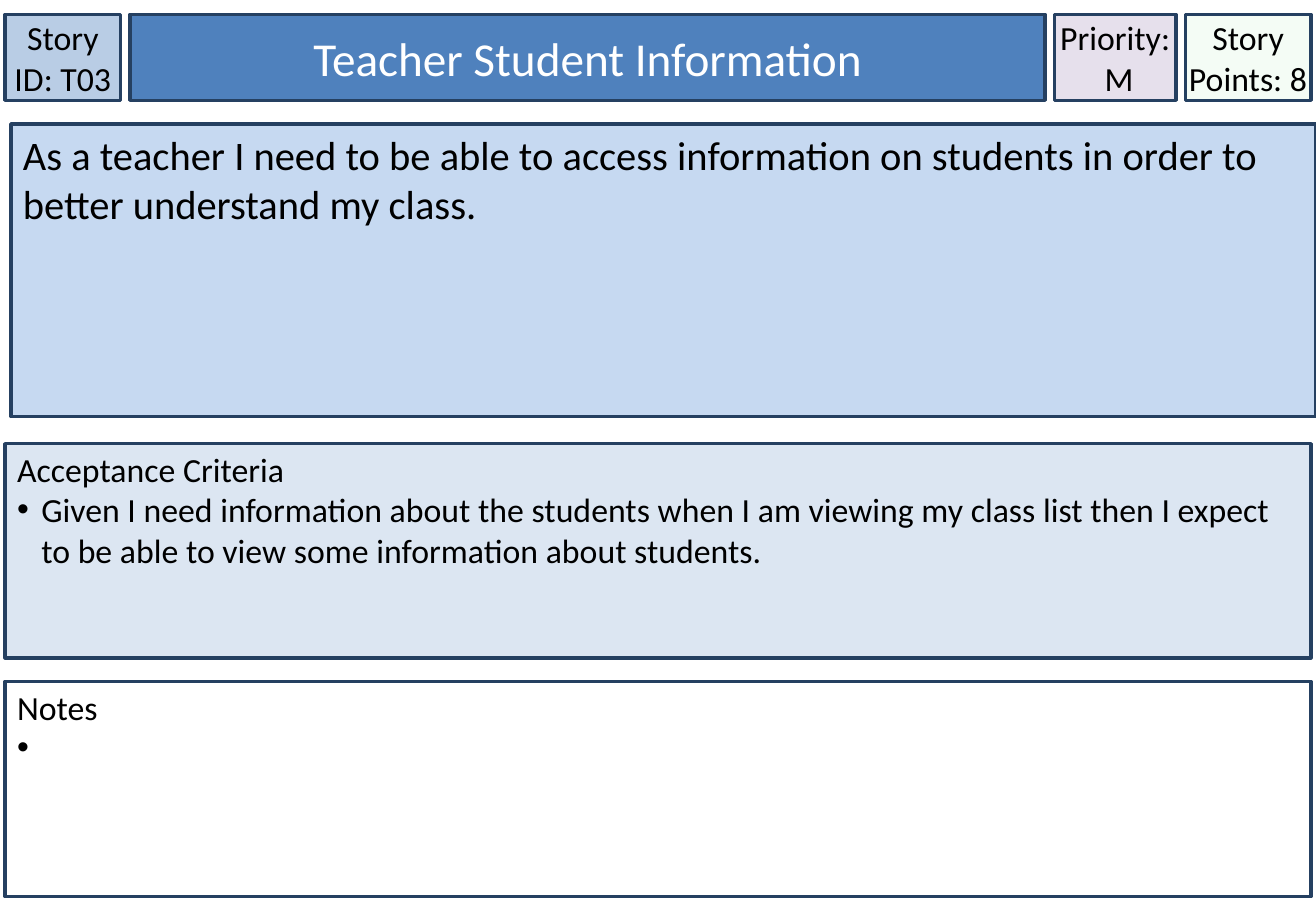
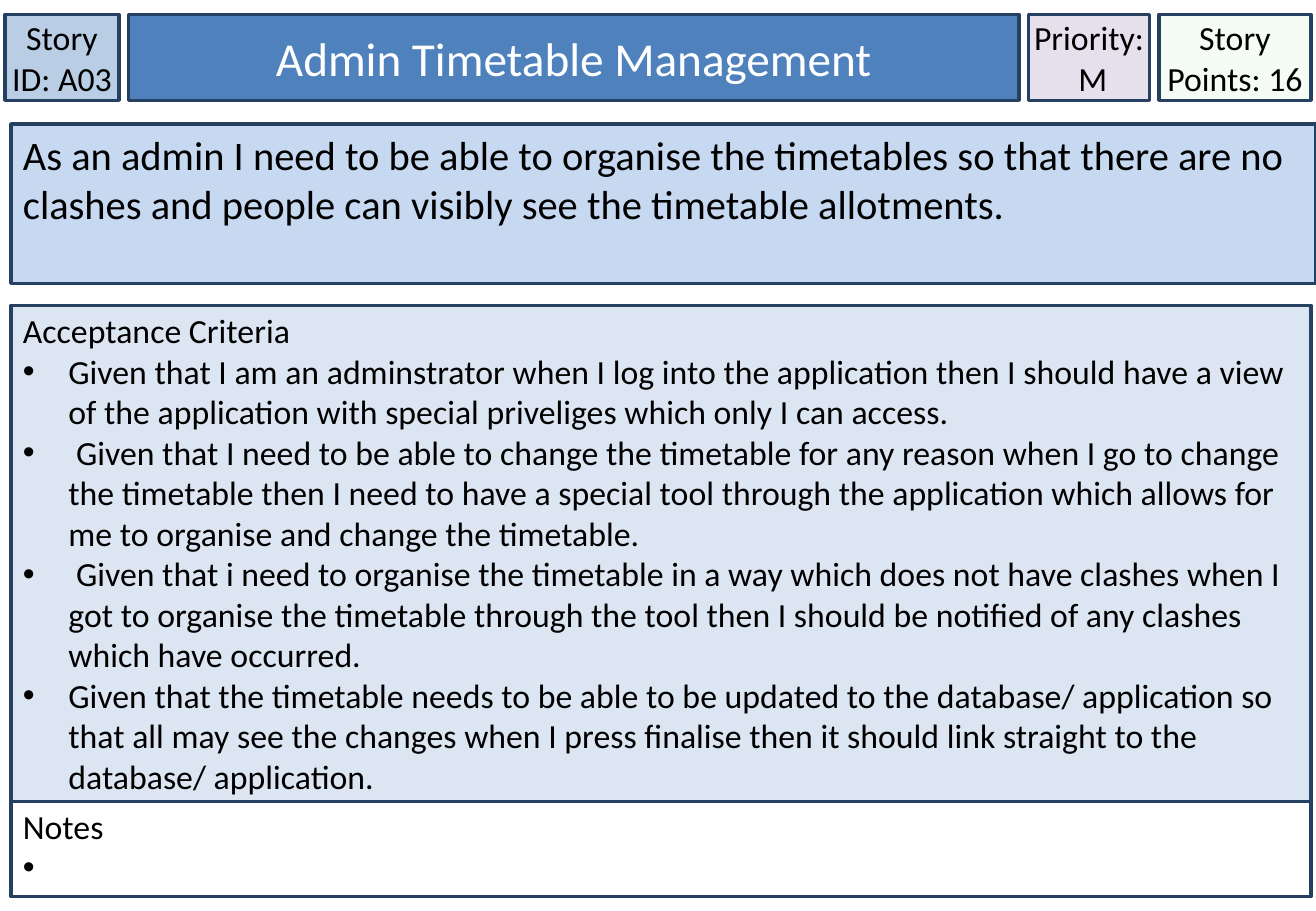
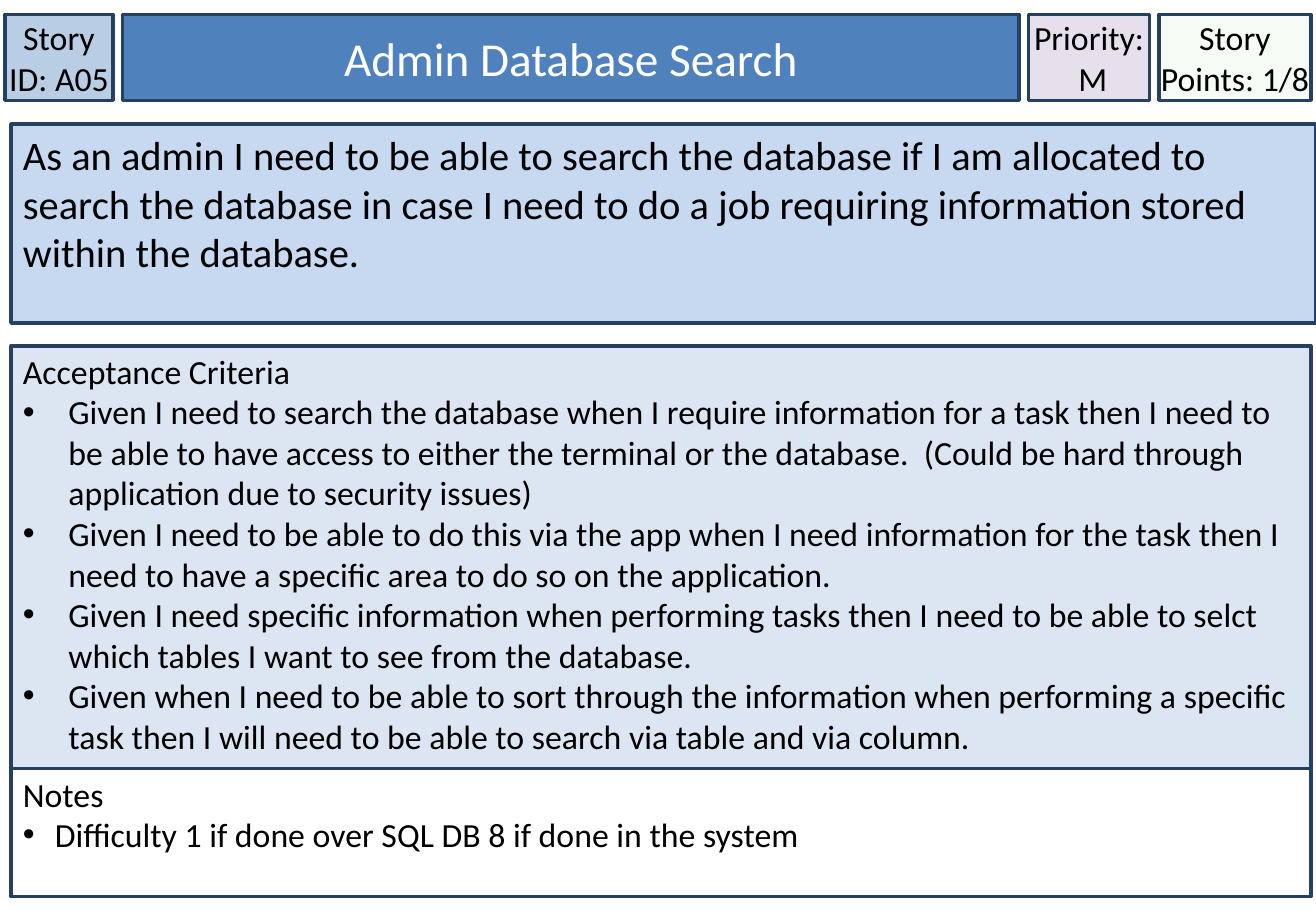
from dataclasses import dataclass

from lxml import etree
from pptx import Presentation
from pptx.dml.color import RGBColor
from pptx.enum.shapes import MSO_SHAPE
from pptx.enum.text import MSO_ANCHOR, MSO_AUTO_SIZE, PP_ALIGN
from pptx.oxml.ns import qn
from pptx.util import Pt

RECTANGLE = MSO_SHAPE.RECTANGLE
TOP, MIDDLE = MSO_ANCHOR.TOP, MSO_ANCHOR.MIDDLE
LEFT, CENTER = PP_ALIGN.LEFT, PP_ALIGN.CENTER
NO_AUTOFIT = MSO_AUTO_SIZE.NONE
TITLE_ONLY = 5

COLORS = {
    "border": "254061",
    "id": "B9CDE5",
    "title": "4F81BD",
    "priority": "E6E0EC",
    "points": "CCF0CD",
    "story": "C6D9F1",
    "criteria": "DCE6F2",
    "remarks": "FFFFFF",
    "text": "000000",
    "title_text": "FFFFFF",
}
FONT = "Calibri"
PAGE_WIDTH, PAGE_HEIGHT = 780, 540
EDGE = 3
HEADER_TOP, HEADER_HEIGHT, HEADER_GAP = 8.5, 51, 5.5
PRIORITY_WIDTH = 72
STORY_LEFT, STORY_TOP = 6.5, 73.5
REMARKS_BOTTOM = 531.5
BADGE_MARGINS = (0, 3.6, 0, 3.6)
TITLE_MARGINS = (7.2, 3.6, 7.2, 3.6)
LIST_MARGINS = (7.2, 2.9, 7.2, 3.6)
REMARKS_INDENT = 14.4


@dataclass
class Card:
    story_id: str
    title: str
    points: str
    story: str
    criteria: list
    remark: str
    id_width: float
    points_width: float
    story_height: float
    lists_left: float
    criteria_top: float
    criteria_bottom: float
    remarks_top: float
    criteria_indent: float


def rgb(key):
    return RGBColor.from_string(COLORS[key])


def style_panel(panel, fill, margins, anchor):
    panel.fill.solid()
    panel.fill.fore_color.rgb = rgb(fill)
    panel.line.color.rgb = rgb("border")
    panel.line.width = Pt(2)
    frame = panel.text_frame
    frame.word_wrap = True
    frame.auto_size = NO_AUTOFIT
    frame.vertical_anchor = anchor
    frame.margin_left, frame.margin_top, frame.margin_right, frame.margin_bottom = map(Pt, margins)


def write(frame, text, size, align, color="text"):
    frame.text = text
    for paragraph in frame.paragraphs:
        paragraph.alignment = align
        for run in paragraph.runs:
            run.font.name = FONT
            run.font.size = Pt(size)
            run.font.color.rgb = rgb(color)


def add_panel(slide, box, fill, text, size=20, align=LEFT, anchor=TOP, margins=LIST_MARGINS):
    panel = slide.shapes.add_shape(RECTANGLE, *map(Pt, box))
    panel.shadow.inherit = False
    style_panel(panel, fill, margins, anchor)
    write(panel.text_frame, text, size, align)
    return panel


def add_badge(slide, box, fill, text):
    return add_panel(slide, box, fill, text, align=CENTER, anchor=MIDDLE, margins=BADGE_MARGINS)


def add_bullet_panel(slide, box, fill, heading, items, indent):
    panel = add_panel(slide, box, fill, "\n".join([heading, *items]))
    for paragraph in panel.text_frame.paragraphs[1:]:
        properties = paragraph._p.get_or_add_pPr()
        properties.set("marL", str(Pt(indent)))
        properties.set("indent", str(-Pt(indent)))
        etree.SubElement(properties, qn("a:buFont")).set("typeface", "Arial")
        etree.SubElement(properties, qn("a:buChar")).set("char", "•")


def set_opacity(panel, percent):
    color = panel._element.spPr.find(qn("a:solidFill"))[0]
    etree.SubElement(color, qn("a:alpha")).set("val", str(percent * 1000))


def place_title(slide, box, text):
    title = slide.shapes.title
    title.left, title.top, title.width, title.height = map(Pt, box)
    style_panel(title, "title", TITLE_MARGINS, MIDDLE)
    write(title.text_frame, text, 28, CENTER, "title_text")


def add_header(slide, box, card):
    left, top, width, height = box
    title_left = left + card.id_width + HEADER_GAP
    points_left = left + width - card.points_width
    priority_left = points_left - HEADER_GAP - PRIORITY_WIDTH
    title_width = priority_left - HEADER_GAP - title_left

    add_badge(slide, (left, top, card.id_width, height), "id", f"Story ID: {card.story_id}")
    place_title(slide, (title_left, top, title_width, height), card.title)
    points = add_badge(slide, (points_left, top, card.points_width, height),
                       "points", f"Story Points: {card.points}")
    set_opacity(points, 20)
    priority = add_badge(slide, (priority_left, top, PRIORITY_WIDTH, height),
                         "priority", "Priority:\n M")
    priority.text_frame.word_wrap = False


def add_lists(slide, box, card):
    left, top, width, height = box
    add_bullet_panel(slide, (left, top, width, card.criteria_bottom - top), "criteria",
                     "Acceptance Criteria", card.criteria, card.criteria_indent)
    add_bullet_panel(slide, (left, card.remarks_top, width, top + height - card.remarks_top),
                     "remarks", "Notes", [card.remark], REMARKS_INDENT)


def add_card(deck, card):
    slide = deck.slides.add_slide(deck.slide_layouts[TITLE_ONLY])
    add_header(slide, (EDGE, HEADER_TOP, PAGE_WIDTH - 2 * EDGE, HEADER_HEIGHT), card)
    add_panel(slide, (STORY_LEFT, STORY_TOP, PAGE_WIDTH - STORY_LEFT, card.story_height),
              "story", card.story, size=24, margins=TITLE_MARGINS)
    add_lists(slide, (card.lists_left, card.criteria_top, PAGE_WIDTH - EDGE - card.lists_left,
                      REMARKS_BOTTOM - card.criteria_top), card)


CARDS = [
    Card(
        story_id="T03",
        title="Teacher Student Information",
        points="8",
        story="As a teacher I need to be able to access information on students in order to "
              "better understand my class. ",
        criteria=[
            "Given I need information about the students when I am viewing my class list then "
            "I expect to be able to view some information about students.",
        ],
        remark=" ",
        id_width=68.5, points_width=74.5, story_height=173.5, lists_left=3,
        criteria_top=263, criteria_bottom=390, remarks_top=404, criteria_indent=14.4,
    ),
    Card(
        story_id="A03",
        title="Admin Timetable Management",
        points="16",
        story="As an admin I need to be able to organise the timetables so that there are no "
              "clashes and people can visibly see the timetable allotments. ",
        criteria=[
            "Given that I am an adminstrator when I log into the application then I should have "
            "a view of the application with special priveliges which only I can access.",
            "\u00a0Given that I need to be able to change the timetable for any reason when I go "
            "to change the timetable then I need to have a special tool through the application "
            "which allows for me to organise and change the timetable.",
            "\u00a0Given that i need to organise the timetable in a way which does not have "
            "clashes when I got to organise the timetable through the tool then I should be "
            "notified of any clashes which have occurred. ",
            "Given that the timetable needs to be able to be updated to the database/ "
            "application so that all may see the changes when I press finalise then it should "
            "link straight to the database/ application. ",
        ],
        remark=" ",
        id_width=67.5, points_width=90, story_height=94.5, lists_left=6.5,
        criteria_top=181, criteria_bottom=475, remarks_top=475, criteria_indent=27,
    ),
    Card(
        story_id="A05",
        title="Admin Database Search",
        points="1/8",
        story="As an admin I need to be able to search the database if I am allocated to search "
              "the database in case I need to do a job requiring information stored within the "
              "database. ",
        criteria=[
            "Given I need to search the database when I require information for a task then I "
            "need to be able to have access to either the terminal or the database.  (Could be "
            "hard through application due to security issues) \u00a0",
            "Given I need to be able to do this via the app when I need information for the task "
            "then I need to have a specific area to do so on the application. ",
            "Given I need specific information when performing tasks then I need to be able to "
            "selct which tables I want to see from the database. ",
            "Given when I need to be able to sort through the information when performing a "
            "specific task then I will need to be able to search via table and via column. ",
        ],
        remark=" Difficulty 1 if done over SQL DB 8 if done in the system  ",
        id_width=64, points_width=90, story_height=118, lists_left=6.5,
        criteria_top=205, criteria_bottom=455.5, remarks_top=455.5, criteria_indent=27,
    ),
]


def main():
    deck = Presentation()
    deck.slide_width, deck.slide_height = Pt(PAGE_WIDTH), Pt(PAGE_HEIGHT)
    for card in CARDS:
        add_card(deck, card)
    deck.save("out.pptx")


main()
